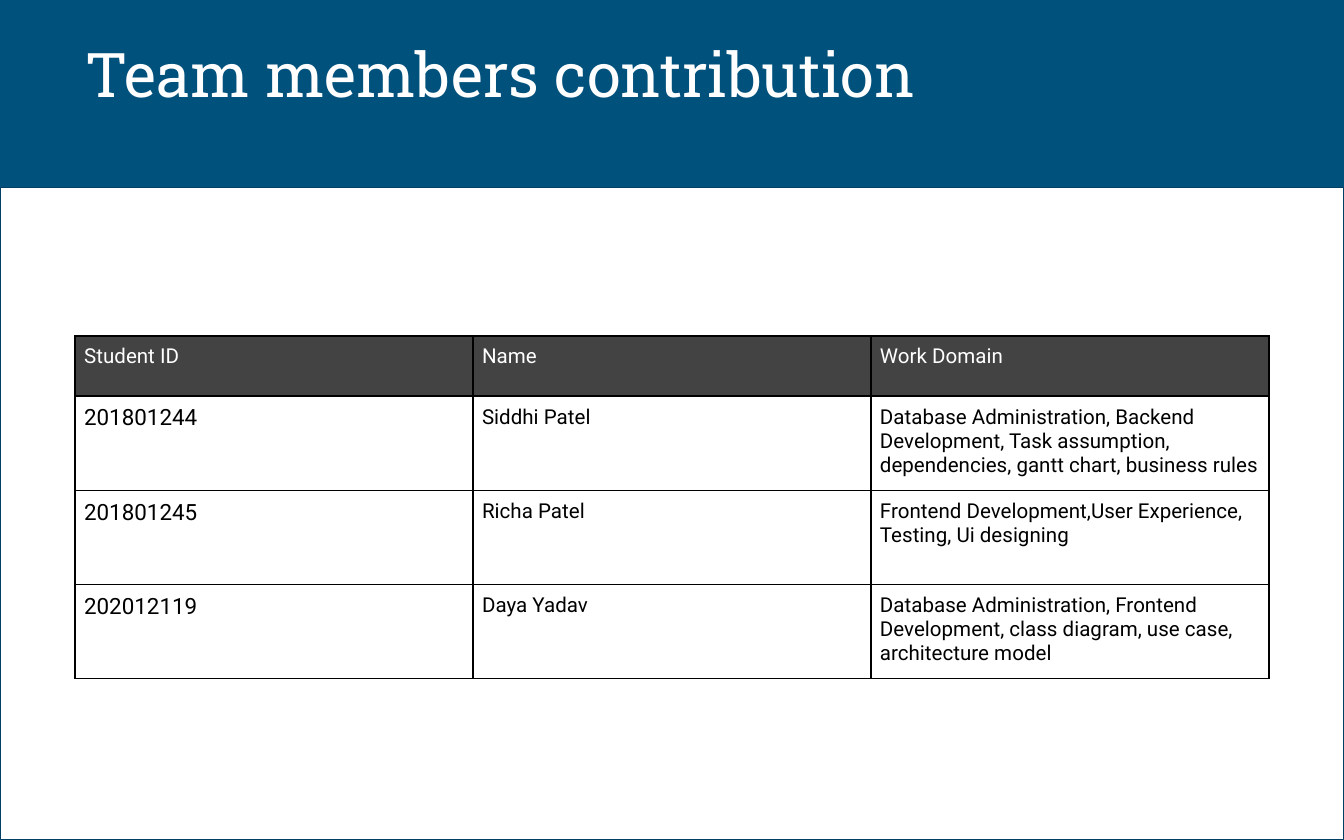
from dataclasses import dataclass

from lxml.etree import SubElement as Sub
from pptx import Presentation
from pptx.dml.color import RGBColor as RGB
from pptx.enum.shapes import MSO_SHAPE as Shape
from pptx.enum.text import MSO_ANCHOR as Anchor
from pptx.oxml.ns import qn
from pptx.util import Cm, Pt


@dataclass(frozen=True)
class Theme:
    band: str = "00517C"
    outline: str = "004065"
    header: str = "434343"
    light: str = "FFFFFF"
    dark: str = "000000"
    title_font: str = "Roboto Slab"
    body_font: str = "Roboto"
    title_size: int = 33
    id_size: int = 12
    body_size: int = 11


THEME = Theme()
SLIDE_W, SLIDE_H = 25.4, 15.88
PANEL_TOP = 3.54
TABLE_LEFT, TABLE_TOP = 1.42, 6.35
COL_W, HEADER_H, ROW_H = 7.52, 1.14, 1.78
CELL_INSET = 0.17

ROWS = [
    ("Student ID", "Name", "Work Domain"),
    ("201801244", "Siddhi Patel",
     "Database Administration, Backend Development, Task assumption, "
     "dependencies, gantt chart, business rules"),
    ("201801245", "Richa Patel",
     "Frontend Development,User Experience, Testing, Ui designing"),
    ("202012119", "Daya Yadav",
     "Database Administration, Frontend Development, class diagram, "
     "use case, architecture model"),
]


def set_attrs(obj, values):
    for name, value in values.items():
        setattr(obj, name, value)


def paint(fill, color):
    fill.solid()
    fill.fore_color.rgb = RGB.from_string(color)


def write(tf, text, font, size, color):
    r = tf.paragraphs[0].add_run()
    r.text = text
    set_attrs(r.font, {"name": font, "size": Pt(size), "bold": False})
    r.font.color.rgb = RGB.from_string(color)


def add_title(s, text):
    sp = s.shapes.add_textbox(Cm(1.07), Cm(0.3), Cm(21.29), Cm(2.03))
    tf = sp.text_frame
    set_attrs(tf, {
        "word_wrap": True, "vertical_anchor": Anchor.BOTTOM,
        "margin_left": Cm(0.54), "margin_right": Cm(0.25),
        "margin_top": Cm(0.25), "margin_bottom": Cm(0.25),
    })
    write(tf, text, THEME.title_font, THEME.title_size, THEME.light)


def add_panel(s):
    sp = s.shapes.add_shape(Shape.RECTANGLE, Cm(0), Cm(PANEL_TOP),
                            Cm(SLIDE_W), Cm(SLIDE_H - PANEL_TOP))
    sp.shadow.inherit = False
    paint(sp.fill, THEME.light)
    paint(sp.line.fill, THEME.outline)
    sp.line.width = Pt(0.75)


def add_borders(cell):
    tc_pr = cell._tc.get_or_add_tcPr()
    for side in ("lnL", "lnR", "lnT", "lnB"):
        ln = Sub(tc_pr, qn(f"a:{side}"), w=str(Pt(1)))
        Sub(Sub(ln, qn("a:solidFill")), qn("a:srgbClr"), val=THEME.dark)


def format_cell(cell, text, size, is_header):
    set_attrs(cell, {f"margin_{side}": Cm(CELL_INSET)
                     for side in ("left", "right", "top", "bottom")})
    # Borders must precede the fill in the cell properties
    add_borders(cell)
    if is_header:
        paint(cell.fill, THEME.header)
    else:
        cell.fill.background()
    color = THEME.light if is_header else THEME.dark
    write(cell.text_frame, text, THEME.body_font, size, color)


def add_members_table(s, rows):
    heights = [HEADER_H] + [ROW_H] * (len(rows) - 1)
    cols = len(rows[0])
    table = s.shapes.add_table(len(rows), cols, Cm(TABLE_LEFT), Cm(TABLE_TOP),
                               Cm(COL_W * cols), Cm(sum(heights))).table
    set_attrs(table, {"first_row": False, "horz_banding": False})
    for col in table.columns:
        col.width = Cm(COL_W)
    for i, values in enumerate(rows):
        table.rows[i].height = Cm(heights[i])
        for j, text in enumerate(values):
            is_id = i > 0 and j == 0
            size = THEME.id_size if is_id else THEME.body_size
            format_cell(table.cell(i, j), text, size, i == 0)


def main():
    prs = Presentation()
    set_attrs(prs, {"slide_width": Cm(SLIDE_W), "slide_height": Cm(SLIDE_H)})
    s = prs.slides.add_slide(prs.slide_layouts[6])

    # Blue background with the title
    paint(s.background.fill, THEME.band)
    add_title(s, "Team members contribution")

    # White body with the members table
    add_panel(s)
    add_members_table(s, ROWS)

    prs.save("out.pptx")


if __name__ == "__main__":
    main()
